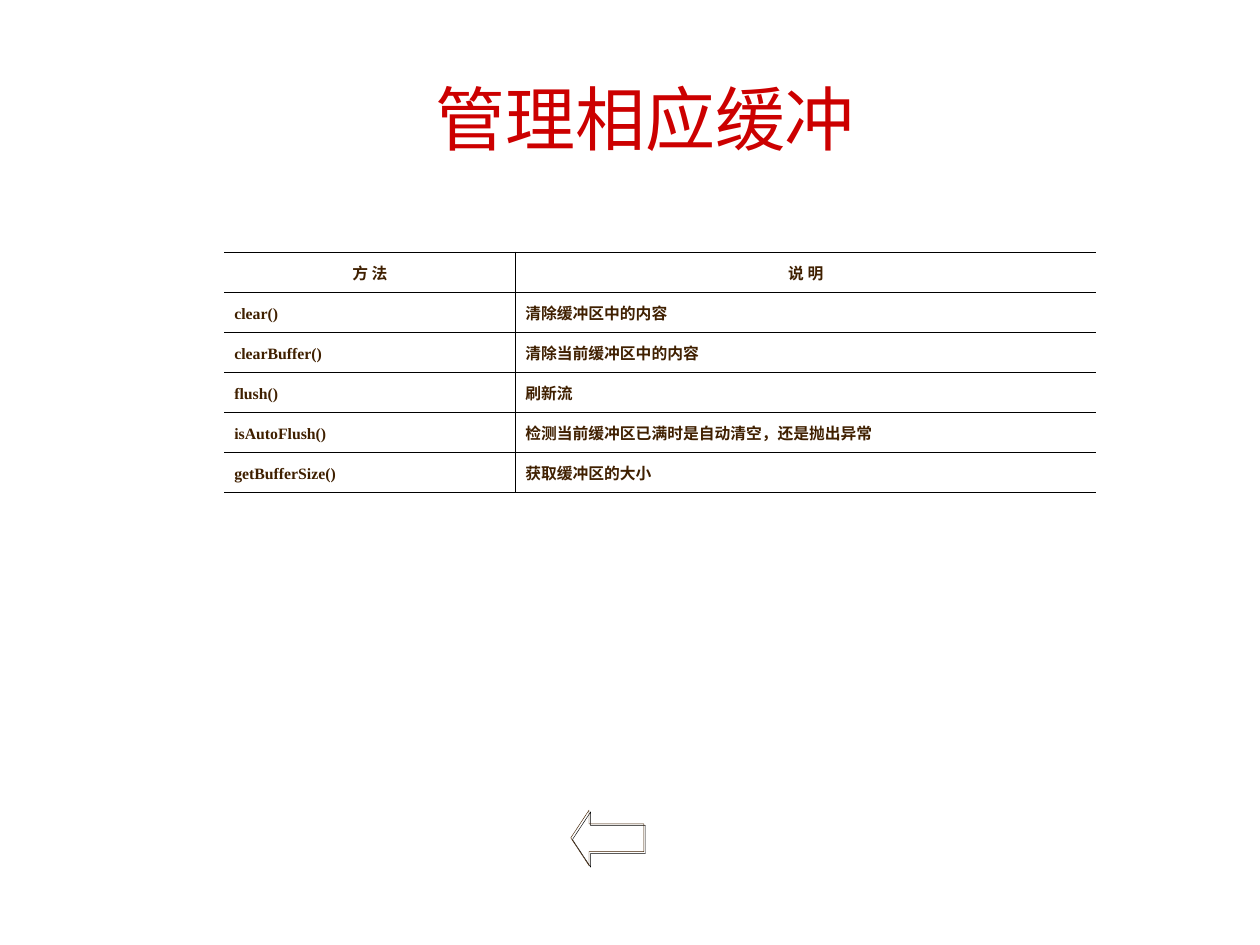
import pptx
import pptx.dml.color
import pptx.enum.shapes
import pptx.enum.text
import pptx.oxml
import pptx.oxml.ns
import pptx.util
from pptx.util import Inches, Pt

RED = pptx.dml.color.RGBColor(0xCC, 0x00, 0x00)
BROWN = pptx.dml.color.RGBColor(0x40, 0x20, 0x00)
BLACK = pptx.dml.color.RGBColor(0x00, 0x00, 0x00)
CENTER = pptx.enum.text.PP_ALIGN.CENTER
LEFT = pptx.enum.text.PP_ALIGN.LEFT
MIDDLE = pptx.enum.text.MSO_ANCHOR.MIDDLE
TOP = pptx.enum.text.MSO_ANCHOR.TOP
NAMESPACE = pptx.oxml.ns.nsdecls("a")
PLAIN_TABLE_STYLE = "{2D5ABB26-0587-4C30-8999-92F81FD0307C}"

TITLE = "管理相应缓冲"
ROWS = [
    ("方 法", "说 明"),
    ("clear()", "清除缓冲区中的内容"),
    ("clearBuffer()", "清除当前缓冲区中的内容"),
    ("flush()", "刷新流"),
    ("isAutoFlush()", "检测当前缓冲区已满时是自动清空，还是抛出异常"),
    ("getBufferSize()", "获取缓冲区的大小"),
]
COLUMN_WIDTHS = (2.31, 4.61)
ROW_HEIGHT = 0.318
BORDER_WIDTH = Pt(0.45)


def add_run(paragraph, text, font_name, size, color, bold=False):
    run = paragraph.add_run()
    run.text = text
    run.font.name = font_name
    run.font.size = Pt(size)
    run.font.bold = bold
    run.font.color.rgb = color


def add_title(slide):
    title = slide.shapes.title
    title.left, title.top = Inches(2.22), Inches(0.6)
    title.width, title.height = Inches(5.8), Inches(0.67)
    frame = title.text_frame
    frame.auto_size = pptx.enum.text.MSO_AUTO_SIZE.NONE
    frame.vertical_anchor = MIDDLE
    paragraph = frame.paragraphs[0]
    paragraph.alignment = CENTER
    add_run(paragraph, TITLE, "DejaVu Sans", 40, RED)


def set_borders(cell, sides):
    """Draw thin lines on the given sides, in the order L, R, T, B."""
    properties = cell._tc.get_or_add_tcPr()
    for side in sides:
        properties.append(pptx.oxml.parse_xml(
            f'<a:ln{side} {NAMESPACE} w="{BORDER_WIDTH}"><a:solidFill>'
            f'<a:srgbClr val="{BLACK}"/></a:solidFill></a:ln{side}>'))


def add_method_table(slide):
    frame = slide.shapes.add_table(
        len(ROWS), len(COLUMN_WIDTHS), Inches(1.78), Inches(2),
        Inches(sum(COLUMN_WIDTHS)), Inches(ROW_HEIGHT * len(ROWS)))
    table = frame.table
    table.first_row = table.horz_banding = False
    table._tbl.tblPr.find(pptx.oxml.ns.qn("a:tableStyleId")).text = PLAIN_TABLE_STYLE
    for column, width in zip(table.columns, COLUMN_WIDTHS):
        column.width = Inches(width)
    for row_index, texts in enumerate(ROWS):
        table.rows[row_index].height = Inches(ROW_HEIGHT)
        is_header = row_index == 0
        for column_index, text in enumerate(texts):
            is_method = column_index == 0 and not is_header
            cell = table.cell(row_index, column_index)
            set_borders(cell, "RTB" if column_index == 0 else "LTB")
            cell.fill.background()
            cell.margin_left = cell.margin_right = Inches(0.08)
            cell.margin_top = cell.margin_bottom = Inches(0.05)
            cell.vertical_anchor = TOP if is_method else MIDDLE
            paragraph = cell.text_frame.paragraphs[0]
            paragraph.alignment = CENTER if is_header else LEFT
            paragraph.line_spacing = Pt(14)
            font_name = "Arial" if is_header else "Times New Roman"
            add_run(paragraph, text, font_name, 9, BROWN, bold=True)


def add_back_arrow(slide):
    arrow = slide.shapes.add_shape(
        pptx.enum.shapes.MSO_SHAPE.LEFT_ARROW,
        Inches(4.53), Inches(6.43), Inches(0.58), Inches(0.44))
    arrow.adjustments[0] = 0.5
    arrow.adjustments[1] = 0.33
    arrow.fill.background()
    arrow.line.color.rgb = BROWN
    arrow.line.width = Pt(0.25)
    arrow.shadow.inherit = False
    effects = arrow._element.spPr.find(pptx.oxml.ns.qn("a:effectLst"))
    effects.append(pptx.oxml.parse_xml(
        f'<a:outerShdw {NAMESPACE} dist="{Pt(1.4)}" dir="{45 * 60000}">'
        f'<a:srgbClr val="{BLACK}"/></a:outerShdw>'))


def main():
    presentation = pptx.Presentation()
    presentation.slide_width = Inches(10)
    presentation.slide_height = Inches(7.5)
    slide = presentation.slides.add_slide(presentation.slide_layouts[5])
    add_back_arrow(slide)
    add_title(slide)
    add_method_table(slide)
    presentation.save("out.pptx")


if __name__ == "__main__":
    main()
